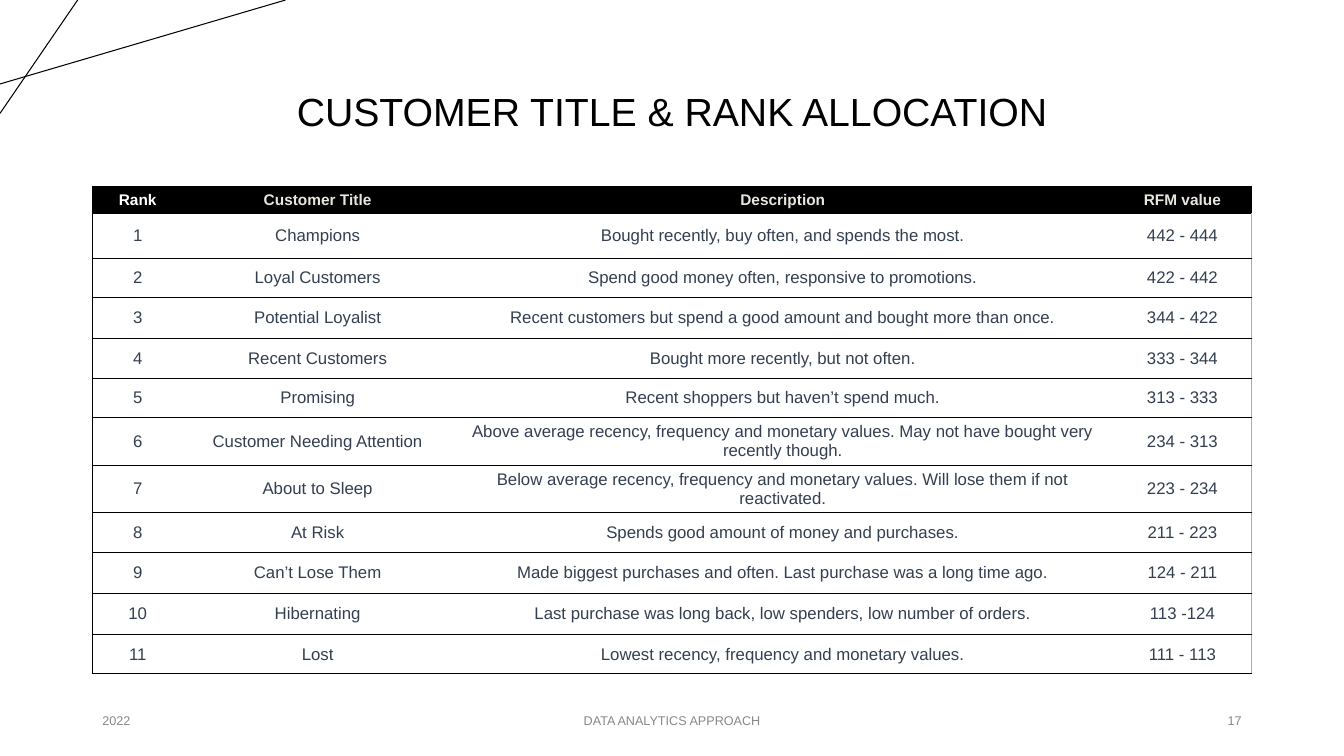
from dataclasses import dataclass

from lxml import etree
from pptx import Presentation
from pptx import util as u
from pptx.dml.color import RGBColor
from pptx.enum import shapes, text
from pptx.oxml import ns


@dataclass(frozen=True)
class Theme:
    font: str = "Arial"
    black: str = "000000"
    white: str = "FFFFFF"
    cream: str = "E9E6DF"
    slate: str = "333F50"
    muted: str = "888888"
    edge: str = "AEABAB"
    title_size: int = 28
    header_size: int = 11
    body_size: int = 12
    footer_size: int = 9
    rule: float = 0.75
    edge_rule: float = 1


PLAIN_TABLE = "{2D5ABB26-0587-4C30-8999-92F81FD0307C}"  # no style, no grid
MARGIN, CONTENT_WIDTH = 66, 828
LEFT, CENTER, RIGHT = text.PP_ALIGN.LEFT, text.PP_ALIGN.CENTER, text.PP_ALIGN.RIGHT

HEADINGS = ["Rank", "Customer Title", "Description", "RFM value"]
SEGMENTS = [
    ("Champions", "Bought recently, buy often, and spends the most.", "442 - 444"),
    ("Loyal Customers", "Spend good money often, responsive to promotions.", "422 - 442"),
    ("Potential Loyalist",
     "Recent customers but spend a good amount and bought more than once.", "344 - 422"),
    ("Recent Customers", "Bought more recently, but not often.", "333 - 344"),
    ("Promising", "Recent shoppers but haven’t spend much.", "313 - 333"),
    ("Customer Needing Attention",
     "Above average recency, frequency and monetary values. "
     "May not have bought very recently though.", "234 - 313"),
    ("About to Sleep",
     "Below average recency, frequency and monetary values. "
     "Will lose them if not reactivated.", "223 - 234"),
    ("At Risk", "Spends good amount of money and purchases.", "211 - 223"),
    ("Can’t Lose Them",
     "Made biggest purchases and often. Last purchase was a long time ago.", "124 - 211"),
    ("Hibernating",
     "Last purchase was long back, low spenders, low number of orders.", "113 -124"),
    ("Lost", "Lowest recency, frequency and monetary values.", "111 - 113"),
]
COLUMN_WIDTHS = [64.8, 192.24, 472.32, 98.64]
ROW_HEIGHTS = [19.44, 31.68, 28.08, 29.52, 28.08, 28.08,
               29.52, 29.52, 28.08, 29.52, 29.52, 28.08]


class SlideBuilder:
    def __init__(self, slide, theme):
        self.slide = slide
        self.theme = theme

    def add_words(self, frame, words, size, color, align=CENTER, bold=False):
        paragraph = frame.paragraphs[0]
        paragraph.alignment = align
        run = paragraph.add_run()
        run.text = words
        for name, value in {"name": self.theme.font, "size": u.Pt(size), "bold": bold}.items():
            setattr(run.font, name, value)
        run.font.color.rgb = RGBColor.from_string(color)
        return paragraph

    def place(self, shape, left, top, width, height):
        box = {"left": left, "top": top, "width": width, "height": height}
        for name, value in box.items():
            setattr(shape, name, u.Pt(value))

    def set_frame(self, frame):
        settings = {
            "word_wrap": True,
            "auto_size": text.MSO_AUTO_SIZE.NONE,
            "vertical_anchor": text.MSO_ANCHOR.MIDDLE,
        }
        for name, value in settings.items():
            setattr(frame, name, value)

    def title(self, words, *box):
        heading = self.slide.shapes.title
        self.place(heading, *box)
        self.set_frame(heading.text_frame)
        line = self.add_words(heading.text_frame, words, self.theme.title_size, self.theme.black)
        line.line_spacing = 0.9

    def footer(self, words, left, width, align):
        note = self.slide.shapes.add_textbox(*map(u.Pt, (left, 500.5, width, 28.75)))
        self.set_frame(note.text_frame)
        self.add_words(note.text_frame, words, self.theme.footer_size, self.theme.muted, align)

    def line(self, *ends):
        stroke = self.slide.shapes.add_connector(
            shapes.MSO_CONNECTOR.STRAIGHT, *map(u.Pt, ends))
        stroke.line.width = u.Pt(self.theme.rule)
        stroke.line.color.rgb = RGBColor.from_string(self.theme.black)
        etree.SubElement(stroke._element.spPr, ns.qn("a:effectLst"))

    def border(self, cell, side, color, width):
        """Draw one cell side: L, R, T or B, called in that order."""
        edge = etree.SubElement(
            cell._tc.get_or_add_tcPr(), ns.qn(f"a:ln{side}"), w=str(u.Pt(width)))
        fill = etree.SubElement(edge, ns.qn("a:solidFill"))
        etree.SubElement(fill, ns.qn("a:srgbClr"), val=color)

    def cell_sides(self, row, column, last_row, last_column):
        """Rules close the header, each pair of ranks, and the whole table."""
        black = (self.theme.black, self.theme.rule)
        sides = {}
        if column == 0:
            sides["L"] = black
        if column == last_column:
            sides["R"] = (self.theme.edge, self.theme.edge_rule) if row else black
        if row == 0 or row % 2:
            sides["T"] = black
        if row % 2 == 0 or row == last_row:
            sides["B"] = black
        return sides

    def table(self, rows, widths, heights, left, top):
        theme = self.theme
        frame = self.slide.shapes.add_table(
            len(rows), len(widths), *map(u.Pt, (left, top, sum(widths), sum(heights))))
        grid = frame.table
        grid.first_row = grid.horz_banding = False
        grid._tbl.tblPr.find(ns.qn("a:tableStyleId")).text = PLAIN_TABLE
        for column, width in zip(grid.columns, widths):
            column.width = u.Pt(width)
        for r, (values, height) in enumerate(zip(rows, heights)):
            grid.rows[r].height = u.Pt(height)
            for c, value in enumerate(values):
                cell = grid.cell(r, c)
                cell.vertical_anchor = text.MSO_ANCHOR.MIDDLE
                sides = self.cell_sides(r, c, len(rows) - 1, len(widths) - 1)
                for side, style in sides.items():
                    self.border(cell, side, *style)
                if r == 0:
                    cell.fill.solid()
                    cell.fill.fore_color.rgb = RGBColor.from_string(theme.black)
                    color = theme.cream if c else theme.white
                    self.add_words(cell.text_frame, value, theme.header_size, color, bold=True)
                else:
                    cell.fill.background()
                    self.add_words(cell.text_frame, value, theme.body_size, theme.slate)


def main():
    deck = Presentation()
    deck.slide_width, deck.slide_height = u.Pt(960), u.Pt(540)
    title_only = deck.slide_layouts[5]
    page = SlideBuilder(deck.slides.add_slide(title_only), Theme())

    page.line(0, 60, 204, 0)
    page.line(55.5, 0, 0, 81)
    page.title("CUSTOMER TITLE & RANK ALLOCATION", MARGIN, 28.75, CONTENT_WIDTH, 104.4)

    ranked = [(str(rank), *segment) for rank, segment in enumerate(SEGMENTS, 1)]
    page.table([HEADINGS, *ranked], COLUMN_WIDTHS, ROW_HEIGHTS, MARGIN, 133.2)

    page.footer("2022", MARGIN, 216, LEFT)
    page.footer("DATA ANALYTICS APPROACH", 318, 324, CENTER)
    page.footer("17", 678, 216, RIGHT)
    deck.save("out.pptx")


if __name__ == "__main__":
    main()
